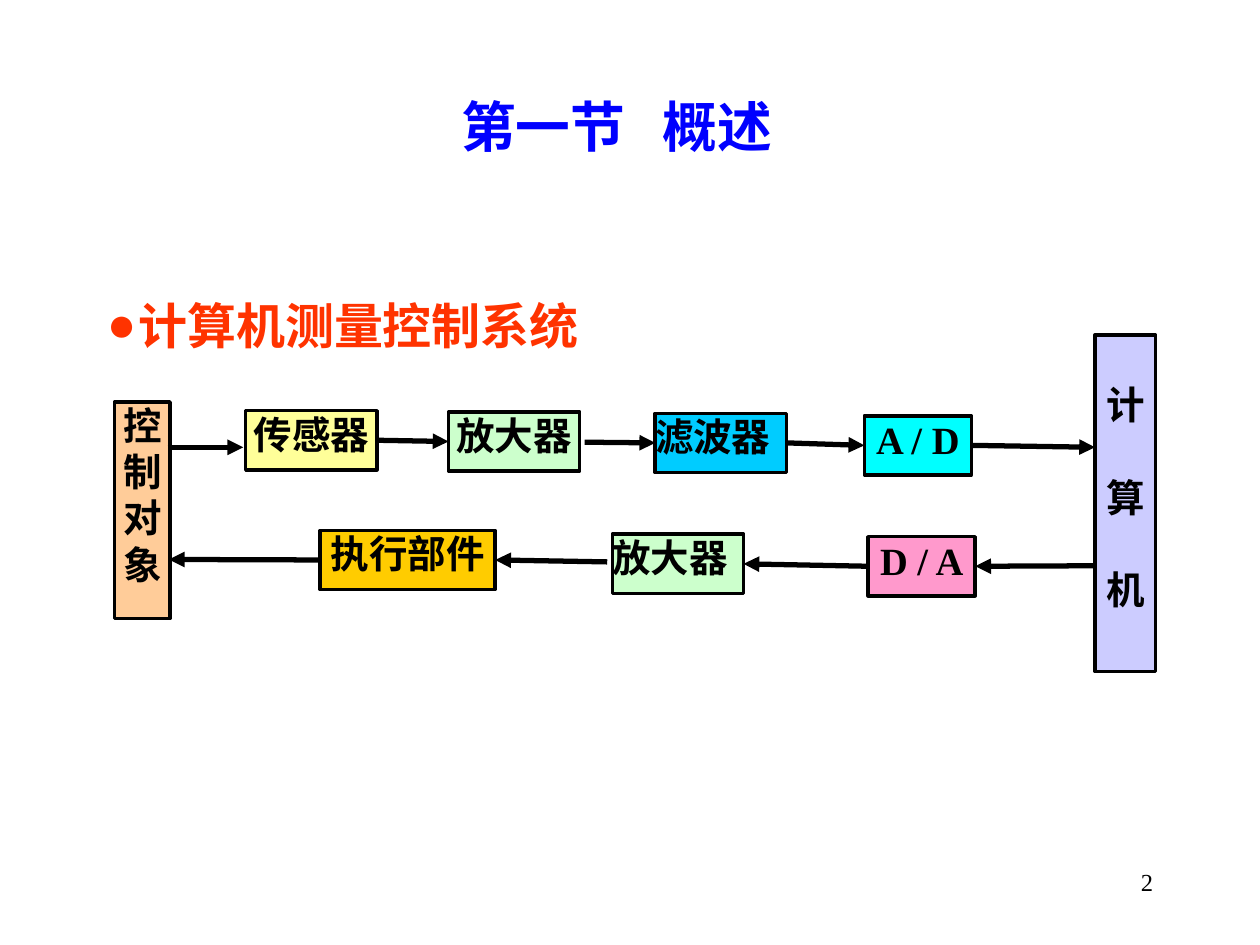
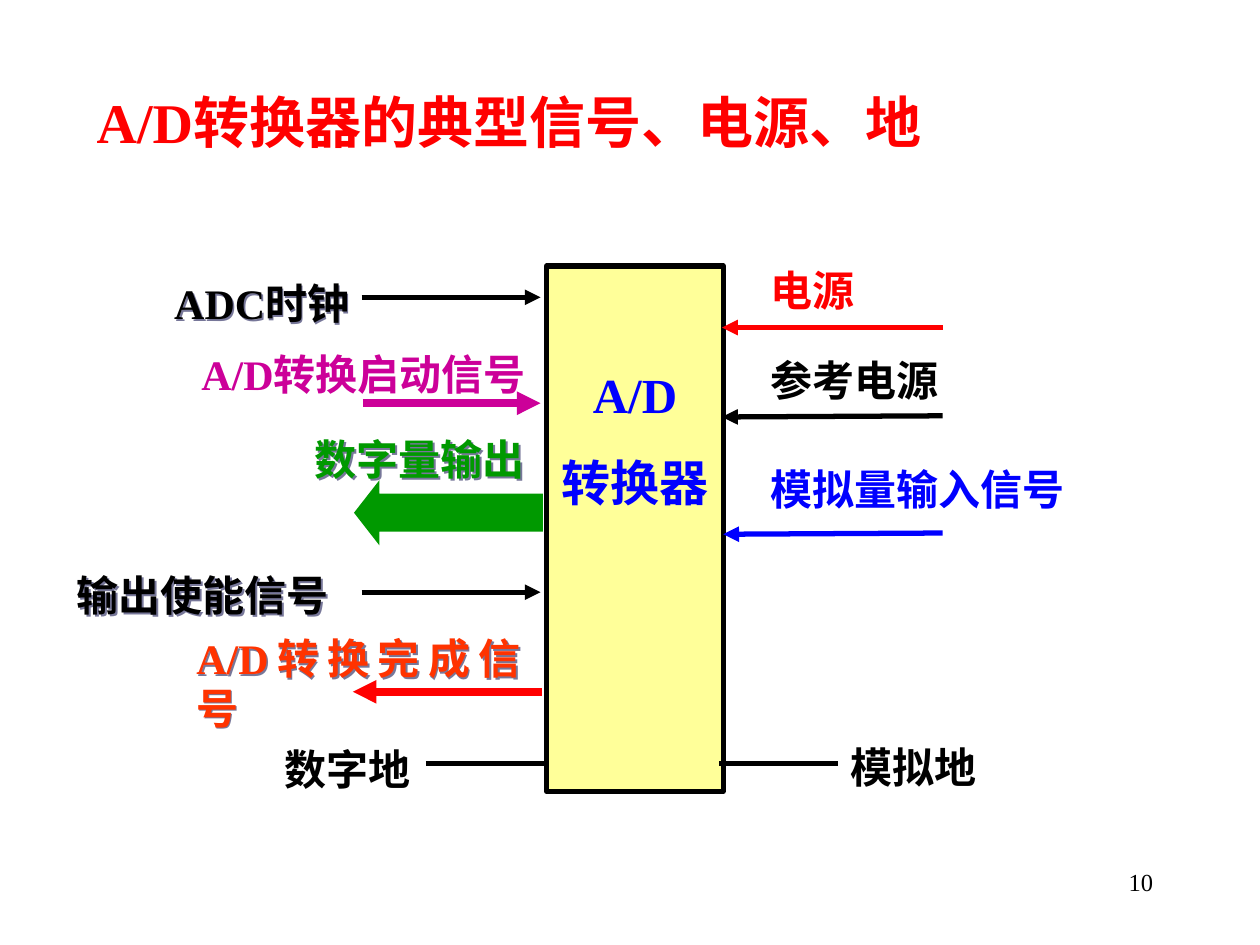
import pptx
import pptx.util
import pptx.dml.color
import pptx.enum.shapes
import pptx.enum.text
import pptx.oxml
import pptx.oxml.ns
import lxml.etree

Pt = pptx.util.Pt
RGB = pptx.dml.color.RGBColor.from_string
ALIGN = pptx.enum.text.PP_ALIGN
ANCHOR = pptx.enum.text.MSO_ANCHOR
SHAPE = pptx.enum.shapes.MSO_SHAPE
qn = pptx.oxml.ns.qn
SubElement = lxml.etree.SubElement

COLORS = {
    "black": "000000", "blue": "0000FF", "red": "FF0000", "orange_red": "FF3300",
    "magenta": "CC0099", "green": "009900", "lavender": "CCCCFF", "peach": "FFCC99",
    "yellow": "FFFF99", "mint": "CCFFCC", "sky": "00CCFF", "cyan": "00FFFF",
    "pink": "FF99CC", "gold": "FFCC00", "shadow": "777799",
}
LATIN_FONT = "Times New Roman"
CJK_FONT = "Noto Sans CJK SC"
TEXT_INSETS = (7.2, 3.6, 7.2, 3.6)


def write_text(shape, lines, size, color, align=ALIGN.LEFT, leading=1.3, gap=0,
               insets=TEXT_INSETS, bold=True, latin=LATIN_FONT):
    frame = shape.text_frame
    frame.word_wrap = True
    frame.vertical_anchor = ANCHOR.TOP
    frame.margin_left, frame.margin_top, frame.margin_right, frame.margin_bottom = map(Pt, insets)
    for index, line in enumerate(lines):
        paragraph = frame.paragraphs[0] if index == 0 else frame.add_paragraph()
        paragraph.alignment = align
        if leading:
            paragraph.line_spacing = Pt(round(size * leading, 1))
        if index and gap:
            paragraph.space_before = Pt(gap)
        for part in line if isinstance(line, tuple) else (line,):
            run = paragraph.add_run()
            run.text = part
            run.font.size = Pt(size)
            run.font.bold = bold
            run.font.color.rgb = RGB(COLORS[color])
            run.font.name = latin
            SubElement(run.font._element, qn("a:ea"), typeface=CJK_FONT)


def add_line(slide, start, end, color="black", width=3, arrow=True):
    line = slide.shapes.add_connector(
        pptx.enum.shapes.MSO_CONNECTOR.STRAIGHT, *map(Pt, start + end))
    line.line.color.rgb = RGB(COLORS[color])
    line.line.width = Pt(width)
    if arrow:
        SubElement(line.line._get_or_add_ln(), qn("a:tailEnd"), type="triangle")
    SubElement(line._element.spPr, qn("a:effectLst"))
    return line


presentation = pptx.Presentation()
presentation.slide_width = Pt(720)
presentation.slide_height = Pt(540)

slides = []
for page_number in ("2", "10"):
    slide = presentation.slides.add_slide(presentation.slide_layouts[6])
    page_box = slide.shapes.add_textbox(Pt(516.2), Pt(491.8), Pt(149.8), Pt(36))
    write_text(page_box, [page_number], 14, "black", ALIGN.RIGHT, leading=None, bold=False)
    slides.append(slide)
system_slide, converter_slide = slides

title = system_slide.shapes.add_textbox(Pt(19.4), Pt(25.9), Pt(666), Pt(72))
write_text(title, [("第一节", " ", "概述")], 54, "blue", ALIGN.CENTER, leading=None, latin=CJK_FONT)
title.text_frame.vertical_anchor = ANCHOR.MIDDLE
title_runs = title.text_frame.paragraphs[0].runs
for run in title_runs:
    run.font._element.set("baseline", "-2000")
title_runs[1].font._element.set("spc", "1400")

heading = system_slide.shapes.add_textbox(Pt(54), Pt(162.7), Pt(360), Pt(41))
write_text(heading, ["计算机测量控制系统"], 28, "orange_red")
heading_format = heading.text_frame.paragraphs[0]._p.get_or_add_pPr()
heading_format.set("marL", str(Pt(18)))
heading_format.set("indent", str(Pt(-18)))
bullet_color = SubElement(heading_format, qn("a:buClr"))
SubElement(bullet_color, qn("a:srgbClr"), val=COLORS["orange_red"])
SubElement(heading_format, qn("a:buFont"), typeface=LATIN_FONT)
SubElement(heading_format, qn("a:buChar"), char="●")

LINE_STEP = 26.4
blocks = {}
for name, lines, left, top, width, height, fill, align, gap in (
    ("computer", "计算机", 625.7, 191.5, 34.6, 192.2, "lavender", ALIGN.CENTER, LINE_STEP),
    ("plant", "控制对象", 65.5, 229.7, 31.7, 123.8, "peach", ALIGN.CENTER, 0),
    ("sensor", ["传感器"], 140.4, 234.7, 75, 33.8, "yellow", ALIGN.CENTER, 0),
    ("input_amplifier", ["放大器"], 256.3, 235.4, 75, 33.8, "mint", ALIGN.CENTER, 0),
    ("filter", ["滤波器"], 374.4, 236.2, 75, 33.8, "sky", ALIGN.JUSTIFY, 0),
    ("adc", ["A / D"], 493.9, 237.6, 61.2, 33.8, "cyan", ALIGN.CENTER, 0),
    ("dac", ["D / A"], 496.1, 306.7, 61.2, 33.8, "pink", ALIGN.CENTER, 0),
    ("output_amplifier", ["放大器"], 349.9, 305.3, 75, 33.8, "mint", ALIGN.JUSTIFY, 0),
    ("actuator", ["执行部件"], 182.9, 303.1, 100.1, 33.8, "gold", ALIGN.CENTER, 0),
):
    block = system_slide.shapes.add_shape(
        SHAPE.RECTANGLE, Pt(left), Pt(top), Pt(width), Pt(height))
    block.shadow.inherit = False
    block.fill.solid()
    block.fill.fore_color.rgb = RGB(COLORS[fill])
    block.line.color.rgb = RGB(COLORS["black"])
    block.line.width = Pt(2)
    write_text(block, lines, 22, "black", align, leading=1.2, gap=gap, insets=(0, gap, 0, 0))
    blocks[name] = block

for start, end, source, source_side, target, target_side in (
    ((95.8, 255.6), (139, 255.6), None, 3, None, 1),
    ((216.7, 253.4), (255.6, 254.2), "sensor", 3, "input_amplifier", 1),
    ((334.1, 252.7), (373, 253.4), None, 3, "filter", 1),
    ((449.3, 254.2), (494.6, 255.6), "filter", 3, "adc", 1),
    ((554.4, 255.6), (625.7, 255.6), "adc", 3, None, 1),
    ((625.7, 323.3), (556.6, 323.3), None, 1, "dac", 3),
    ((494.6, 323.3), (424.1, 323.3), "dac", 1, "output_amplifier", 3),
    ((347, 321.1), (283.7, 320.4), None, 1, "actuator", 3),
    ((181.4, 319.7), (96.5, 319.7), "actuator", 1, None, 3),
):
    arrow = add_line(system_slide, start, end)
    if source:
        arrow.begin_connect(blocks[source], source_side)
    if target:
        arrow.end_connect(blocks[target], target_side)

title = converter_slide.shapes.add_textbox(Pt(48.2), Pt(43.2), Pt(635), Pt(46))
write_text(title, ["A/D转换器的典型信号、电源、地"], 32, "red")

converter = converter_slide.shapes.add_shape(
    SHAPE.RECTANGLE, Pt(312.5), Pt(152), Pt(100.8), Pt(300.2))
converter.shadow.inherit = False
converter.fill.solid()
converter.fill.fore_color.rgb = RGB(COLORS["yellow"])
converter.line.color.rgb = RGB(COLORS["black"])
converter.line.width = Pt(3)
write_text(converter, ["A/D", "转换器"], 28, "blue", ALIGN.CENTER, leading=1.18, gap=17.5,
           insets=(0, 57, 0, 57))

data_arrow = converter_slide.shapes.add_shape(
    SHAPE.LEFT_ARROW, Pt(202.3), Pt(274.3), Pt(108), Pt(37.4))
data_arrow.adjustments[0] = 0.58
data_arrow.adjustments[1] = 0.39
data_arrow.shadow.inherit = False
data_arrow.fill.solid()
data_arrow.fill.fore_color.rgb = RGB(COLORS["green"])
data_arrow.line.fill.background()

for text, left, top, width, color, align, leading, shadowed in (
    ("ADC时钟", 25.2, 152.6, 181.4, "black", ALIGN.RIGHT, 1.3, True),
    ("A/D转换启动信号", 108, 193, 210, "magenta", ALIGN.LEFT, 1.3, False),
    ("数字量输出", 172.8, 241.9, 140, "green", ALIGN.LEFT, 1.3, True),
    ("输出使能信号", 36.7, 319.7, 165, "black", ALIGN.LEFT, 1.3, True),
    ("A/D转换完成信号", 105.1, 358.5, 199.4, "orange_red", ALIGN.JUSTIFY, 1.18, True),
    ("数字地", 155.5, 419, 150, "black", ALIGN.LEFT, 1.3, False),
    ("电源", 433.4, 145.4, 152.6, "red", ALIGN.LEFT, 1.3, False),
    ("参考电源", 433.4, 196.6, 153.4, "black", ALIGN.LEFT, 1.3, False),
    ("模拟量输入信号", 433.4, 259.2, 238.3, "blue", ALIGN.LEFT, 1.3, False),
    ("模拟地", 478.8, 417.6, 175.7, "black", ALIGN.LEFT, 1.3, False),
):
    label = converter_slide.shapes.add_textbox(Pt(left), Pt(top), Pt(width), Pt(36))
    write_text(label, [text], 24, color, align, leading)
    if shadowed:
        effects = SubElement(label._element.spPr, qn("a:effectLst"))
        shadow = SubElement(effects, qn("a:outerShdw"), dist=str(Pt(1.4)), dir="2700000")
        SubElement(shadow, qn("a:srgbClr"), val=COLORS["shadow"])

for start, end, color, width, arrow in (
    ((206.6, 169.9), (308.9, 169.9), "black", 3, True),
    ((207.4, 230.4), (308.9, 230.4), "magenta", 4.5, True),
    ((206.6, 338.4), (308.9, 338.4), "black", 3, True),
    ((309.6, 395.3), (201.6, 395.3), "red", 4.5, True),
    ((538.6, 187.2), (412.6, 187.2), "red", 3, True),
    ((538.6, 237.6), (412.6, 238.3), "black", 3, True),
    ((538.6, 304.6), (413.3, 305.3), "blue", 3, True),
    ((243.4, 436.3), (311.8, 436.3), "black", 3, False),
    ((411.1, 436.3), (478.8, 436.3), "black", 3, False),
):
    add_line(converter_slide, start, end, color, width, arrow)

presentation.save("out.pptx")
